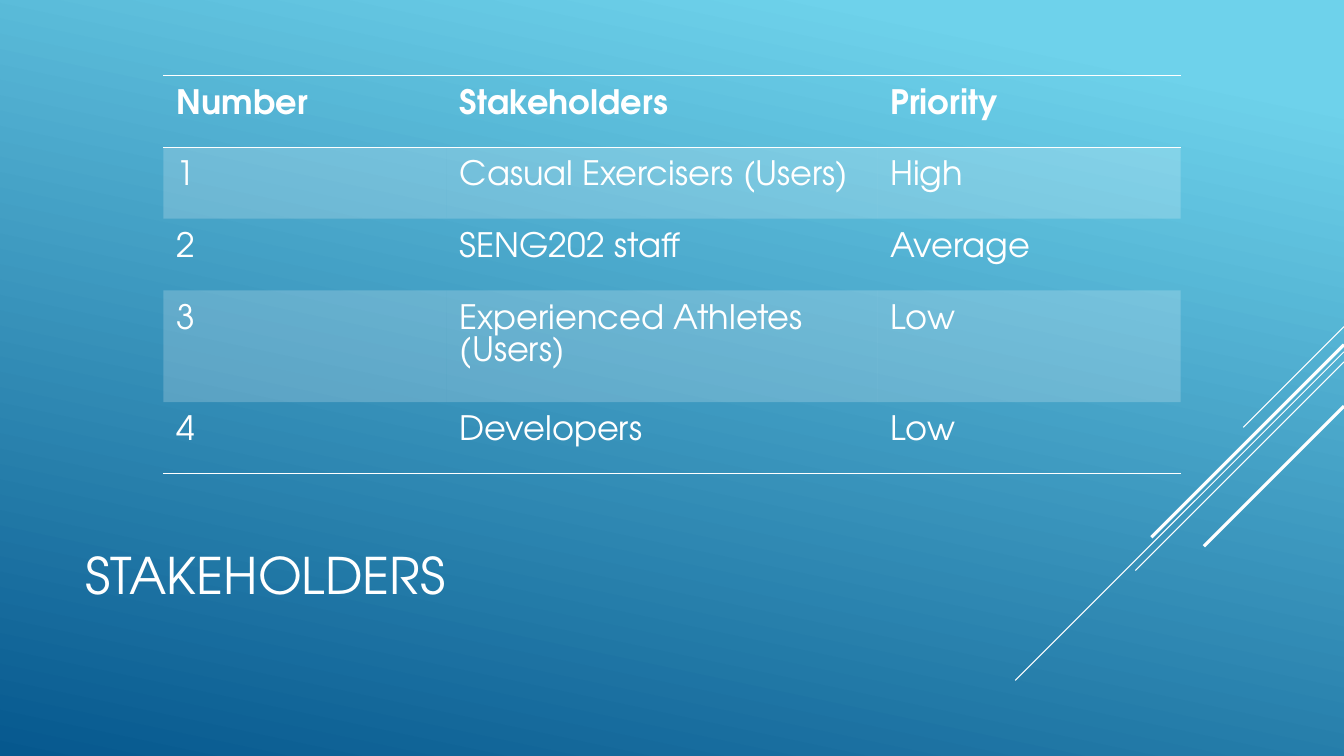
from lxml import etree
from pptx import Presentation
from pptx.dml.color import RGBColor
from pptx.enum.shapes import MSO_CONNECTOR
from pptx.enum.text import MSO_ANCHOR
from pptx.oxml.ns import qn
from pptx.util import Inches, Pt

STRAIGHT = MSO_CONNECTOR.STRAIGHT
MIDDLE = MSO_ANCHOR.MIDDLE
WHITE = RGBColor(0xFF, 0xFF, 0xFF)
SKY = RGBColor(0x6E, 0xD2, 0xEB)
OCEAN = RGBColor(0x06, 0x58, 0x8E)
FONT = "TeX Gyre Adventor"
NO_STYLE = "{2D5ABB26-0587-4C30-8999-92F81FD0307C}"

SLIDE_WIDTH, SLIDE_HEIGHT = 13.33, 7.5
CELL_INSET = Inches(0.13)
COLUMN_WIDTHS = [2.81, 4.27, 3.01]
ROW_HEIGHTS = [0.71, 0.71, 0.71, 1.11, 0.71]
ROWS = [
    ("Number", "Stakeholders", "Priority"),
    ("1", "Casual Exercisers (Users)", "High"),
    ("2", "SENG202 staff", "Average"),
    ("3", "Experienced Athletes (Users)", "Low"),
    ("4", "Developers", "Low"),
]
# Each diagonal: height on the right edge, run to the lower left, weight
DIAGONALS = [
    (3.24, 1.0, 0.75),
    (3.49, 3.26, 0.75),
    (3.59, 2.07, 0.75),
    (3.42, 1.91, 2.25),
    (4.03, 1.39, 2.25),
]


def paint_background(page):
    """Fill the page with the slanted blue gradient."""
    fill = page.background.fill
    fill.gradient()
    fill.gradient_angle = 360 - 102
    for stop, color, position in zip(fill.gradient_stops, (SKY, OCEAN), (0.1, 1)):
        stop.color.rgb = color
        stop.position = position


def add_diagonal(page, top, run, weight):
    """Draw a 45 degree line down from the right edge."""
    line = page.shapes.add_connector(
        STRAIGHT, Inches(SLIDE_WIDTH), Inches(top),
        Inches(SLIDE_WIDTH - run), Inches(top + run))
    line.line.color.rgb = WHITE
    line.line.width = Pt(weight)
    etree.SubElement(line._element.spPr, qn("a:effectLst"))


def write_text(frame, text, size, spacing, bold=False):
    """Set one paragraph of white text."""
    para = frame.paragraphs[0]
    para.text = text
    para.line_spacing = spacing
    font = para.runs[0].font
    font.name = FONT
    font.size = Pt(size)
    font.bold = bold
    font.color.rgb = WHITE


def add_title(page, text):
    """Add the slide title."""
    box = page.shapes.add_textbox(Inches(0.75), Inches(4.91), Inches(9.33), Inches(1.65))
    box.text_frame.word_wrap = True
    box.text_frame.vertical_anchor = MIDDLE
    write_text(box.text_frame, text, 36, 0.9)


def add_border(cell, edge):
    """Give one edge of a cell a thin white line."""
    border = etree.SubElement(cell._tc.get_or_add_tcPr(), qn(f"a:{edge}"), w=str(Pt(1)))
    solid = etree.SubElement(border, qn("a:solidFill"))
    etree.SubElement(solid, qn("a:srgbClr"), val=str(WHITE))


def fill_cell(cell, banded):
    """Make a cell translucent white or clear."""
    if not banded:
        cell.fill.background()
        return
    cell.fill.solid()
    cell.fill.fore_color.rgb = WHITE
    color = cell._tc.tcPr.find(qn("a:solidFill")).find(qn("a:srgbClr"))
    etree.SubElement(color, qn("a:alpha"), val="20000")


def add_stakeholder_table(page):
    """Add the table of stakeholders and priorities."""
    frame = page.shapes.add_table(
        len(ROWS), len(COLUMN_WIDTHS), Inches(1.62), Inches(0.75),
        Inches(sum(COLUMN_WIDTHS)), Inches(sum(ROW_HEIGHTS)))
    table = frame.table
    table._tbl.tblPr.find(qn("a:tableStyleId")).text = NO_STYLE
    for column, width in zip(table.columns, COLUMN_WIDTHS):
        column.width = Inches(width)
    for index, (row, height, texts) in enumerate(zip(table.rows, ROW_HEIGHTS, ROWS)):
        row.height = Inches(height)
        for cell, text in zip(row.cells, texts):
            cell.margin_left = cell.margin_right = CELL_INSET
            cell.margin_top = cell.margin_bottom = CELL_INSET
            write_text(cell.text_frame, text, 24, Pt(22.9), bold=index == 0)
            if index == 0:
                add_border(cell, "lnT")
            if index in (0, len(ROWS) - 1):
                add_border(cell, "lnB")
            fill_cell(cell, banded=index % 2 == 1)


def main():
    """Build and save the stakeholders slide."""
    deck = Presentation()
    deck.slide_width = Inches(SLIDE_WIDTH)
    deck.slide_height = Inches(SLIDE_HEIGHT)
    page = deck.slides.add_slide(deck.slide_layouts[6])
    paint_background(page)
    for top, run, weight in DIAGONALS:
        add_diagonal(page, top, run, weight)
    add_title(page, "STAKEHOLDERS")
    add_stakeholder_table(page)
    deck.save("out.pptx")


if __name__ == "__main__":
    main()
